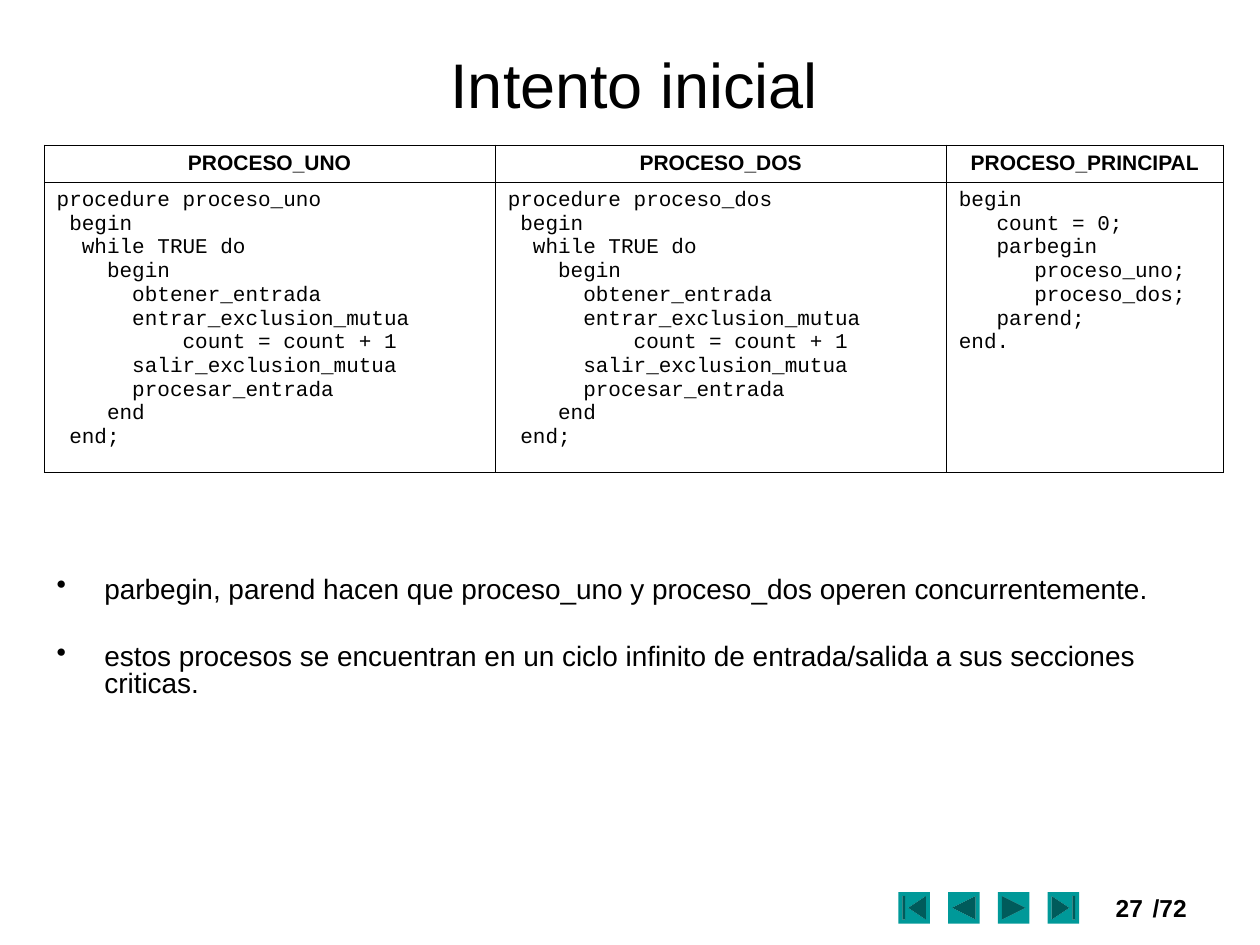
from lxml.etree import SubElement
from pptx import Presentation
from pptx.dml.color import RGBColor
from pptx.enum.shapes import MSO_SHAPE as Shape
from pptx.enum.text import MSO_ANCHOR as Anchor, PP_ALIGN as Align
from pptx.oxml.ns import qn
from pptx.util import Inches, Pt

BLACK = RGBColor(0, 0, 0)
TEAL = RGBColor(0x00, 0x99, 0x99)

TITLE = "Intento inicial"
PROCESS_CODE = """procedure {}
 begin
  while TRUE do
    begin
      obtener_entrada
      entrar_exclusion_mutua
          count = count + 1
      salir_exclusion_mutua
      procesar_entrada
    end
 end;"""
MAIN_CODE = """begin
   count = 0;
   parbegin
      proceso_uno;
      proceso_dos;
   parend;
end."""
COLUMNS = [
    ("PROCESO_UNO", PROCESS_CODE.format("proceso_uno"), 3.58),
    ("PROCESO_DOS", PROCESS_CODE.format("proceso_dos"), 3.58),
    ("PROCESO_PRINCIPAL", MAIN_CODE, 2.2),
]
ROW_HEIGHTS = [0.3, 2.3]
BULLETS = [
    "parbegin, parend hacen que proceso_uno y proceso_dos operen concurrentemente.",
    "estos procesos se encuentran en un ciclo infinito de entrada/salida a sus secciones criticas.",
]
BUTTONS = [
    Shape.ACTION_BUTTON_BEGINNING,
    Shape.ACTION_BUTTON_BACK_OR_PREVIOUS,
    Shape.ACTION_BUTTON_FORWARD_OR_NEXT,
    Shape.ACTION_BUTTON_END,
]
BUTTON_LEFT, BUTTON_TOP, BUTTON_SIZE, BUTTON_STEP = 7.13, 7.08, 0.25, 0.395
PAGE_NUMBERS = [("27", 8.63, 0.54, Align.RIGHT), ("/72", 9.05, 0.52, Align.LEFT)]


def write(frame, lines, size, font="Arial", bold=False, align=Align.LEFT,
          bullet=False, spacing=None, gap=0):
    frame.word_wrap = True
    for index, line in enumerate(lines):
        para = frame.paragraphs[0] if index == 0 else frame.add_paragraph()
        para.alignment = align
        if spacing:
            para.line_spacing = spacing
        if index and gap:
            para.space_before = Pt(gap)
        if bullet:
            props = para._p.get_or_add_pPr()
            props.set("marL", str(Inches(0.38)))
            props.set("indent", str(-Inches(0.38)))
            SubElement(props, qn("a:buChar"), char="•")
        span = para.add_run()
        span.text = line
        span.font.name = font
        span.font.size = Pt(size)
        span.font.bold = bold
        span.font.color.rgb = BLACK


def add_box(page, left, top, width, height):
    return page.shapes.add_textbox(
        Inches(left), Inches(top), Inches(width), Inches(height)).text_frame


def outline(cell):
    props = cell._tc.get_or_add_tcPr()
    for side in ("lnL", "lnR", "lnT", "lnB"):
        line = SubElement(props, qn(f"a:{side}"), w=str(Pt(0.45)))
        fill = SubElement(line, qn("a:solidFill"))
        SubElement(fill, qn("a:srgbClr"), val=str(BLACK))
    cell.fill.background()


def add_code_table(page):
    table = page.shapes.add_table(
        len(ROW_HEIGHTS), len(COLUMNS), Inches(0.35), Inches(1.15),
        Inches(sum(width for _, _, width in COLUMNS)), Inches(sum(ROW_HEIGHTS))).table
    table.first_row = table.horz_banding = False
    for row, height in zip(table.rows, ROW_HEIGHTS):
        row.height = Inches(height)
    for index, (heading, code, width) in enumerate(COLUMNS):
        table.columns[index].width = Inches(width)
        head, body = table.cell(0, index), table.cell(1, index)
        write(head.text_frame, [heading], 12, bold=True, align=Align.CENTER)
        write(body.text_frame, code.split("\n"), 12, font="Courier New")
        outline(head)
        outline(body)


def add_navigation(page):
    for index, kind in enumerate(BUTTONS):
        button = page.shapes.add_shape(
            kind, Inches(BUTTON_LEFT + index * BUTTON_STEP), Inches(BUTTON_TOP),
            Inches(BUTTON_SIZE), Inches(BUTTON_SIZE))
        button.shadow.inherit = False
        button.fill.solid()
        button.fill.fore_color.rgb = TEAL
        button.line.fill.background()
    for text, left, width, align in PAGE_NUMBERS:
        write(add_box(page, left, 7.04, width, 0.33), [text], 14, bold=True, align=align)


def main():
    deck = Presentation()
    deck.slide_width, deck.slide_height = Inches(10), Inches(7.5)
    page = deck.slides.add_slide(deck.slide_layouts[6])
    add_navigation(page)
    title = add_box(page, 0.35, 0.34, 9.37, 0.64)
    title.vertical_anchor = Anchor.MIDDLE
    title.margin_left = title.margin_right = Inches(0.02)
    title.margin_top = title.margin_bottom = Inches(0.02)
    write(title, [TITLE], 36, align=Align.CENTER)
    add_code_table(page)
    write(add_box(page, 0.35, 4.54, 9.21, 2.28), BULLETS, 16,
          bullet=True, spacing=0.8, gap=23)
    deck.save("out.pptx")


if __name__ == "__main__":
    main()
